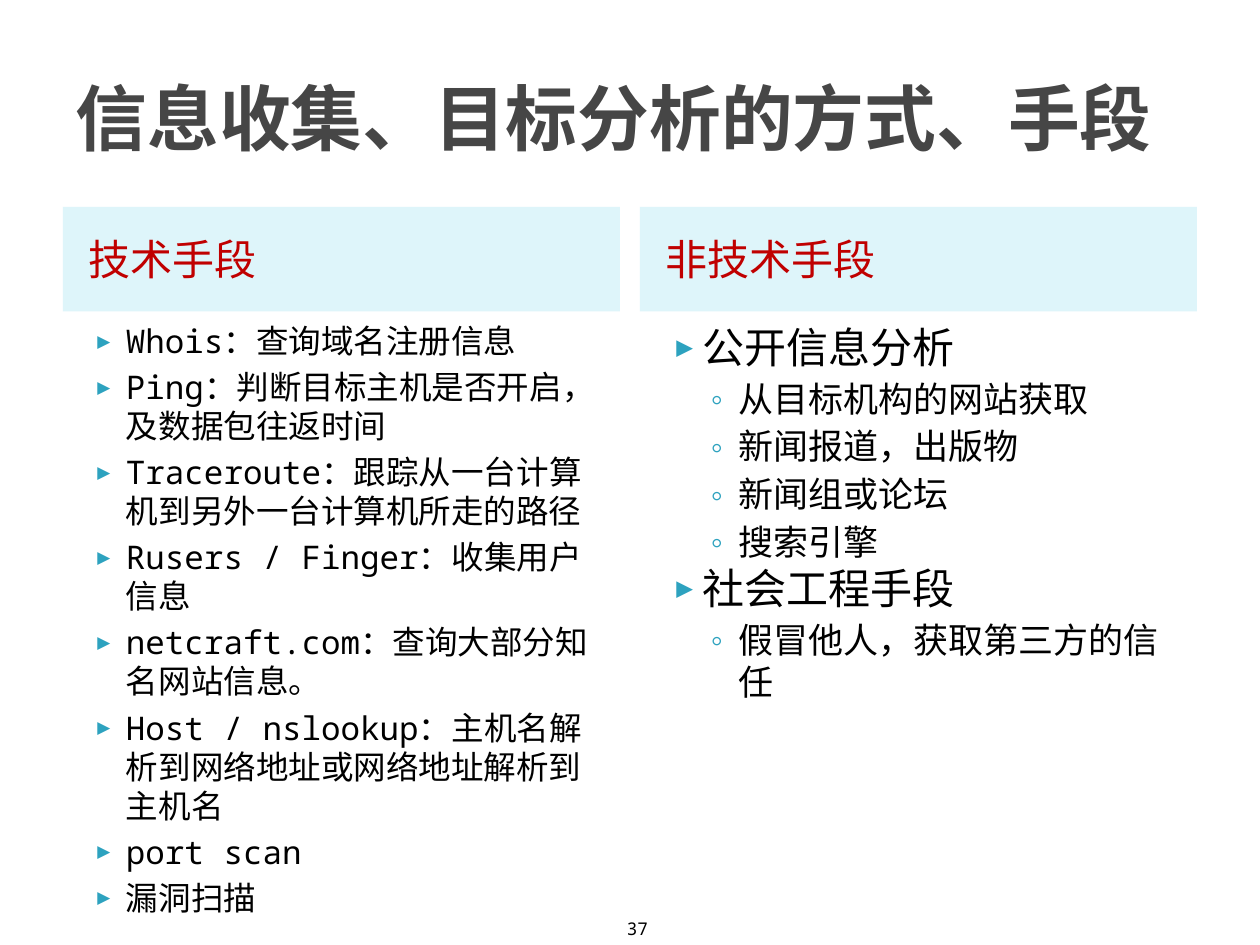
from lxml.etree import SubElement
from pptx import Presentation
from pptx.dml.color import RGBColor
from pptx.enum.lang import MSO_LANGUAGE_ID as Language
from pptx.enum.shapes import MSO_SHAPE as Shape
from pptx.enum.text import MSO_ANCHOR as Anchor, MSO_AUTO_SIZE as AutoSize, PP_ALIGN as Align
from pptx.oxml.ns import qn
from pptx.util import Cm, Pt

TITLE = "信息收集、目标分析的方式、手段"
PAGE_NUMBER = "37"
# Each column: heading, size per level, space before per level, (level, text) items
COLUMNS = [
    ("技术手段", (18.6,), (4,), [
        (0, "Whois：查询域名注册信息"),
        (0, "Ping：判断目标主机是否开启，及数据包往返时间"),
        (0, "Traceroute：跟踪从一台计算机到另外一台计算机所走的路径"),
        (0, "Rusers / Finger：收集用户信息"),
        (0, "netcraft.com：查询大部分知名网站信息。"),
        (0, "Host / nslookup：主机名解析到网络地址或网络地址解析到主机名"),
        (0, "port scan"),
        (0, "漏洞扫描"),
    ]),
    ("非技术手段", (24, 20), (0, 3.2), [
        (0, "公开信息分析"),
        (1, "从目标机构的网站获取"),
        (1, "新闻报道，出版物"),
        (1, "新闻组或论坛"),
        (1, "搜索引擎"),
        (0, "社会工程手段"),
        (1, "假冒他人，获取第三方的信任"),
    ]),
]
# Per level: bullet, size in percent, left margin, hanging indent
BULLETS = [("▶", 68, Cm(1.02), Cm(0.71)), ("◦", 100, Cm(1.73), Cm(0.64))]

FONT = "Noto Sans Mono"
BLACK, GREY, RED, TEAL, PALE = "000000", "464646", "C00000", "2DA2BF", "DEF5FA"
LINE_HEIGHT = 1.2
LEFT, COLUMN_WIDTH, COLUMN_STEP = 1.27, 11.23, 11.63
HEADING_TOP, HEADING_HEIGHT = 4.17, 2.11
LIST_TOP, LIST_HEIGHT = 6.35, 10.95


def color(value):
    return RGBColor.from_string(value)


def add_span(para, text, size, ink, bold=False):
    span = para.add_run()
    span.text = text
    font = span.font
    font.name, font.size, font.bold = FONT, Pt(size), bold
    font.color.rgb = color(ink)
    font.language_id = Language.SIMPLIFIED_CHINESE
    east_asian = SubElement(font._element, qn("a:ea"))
    east_asian.set("typeface", FONT)


def prepare(shape, anchor):
    frame = shape.text_frame
    frame.word_wrap = True
    frame.auto_size = AutoSize.NONE
    frame.vertical_anchor = anchor
    return frame


def add_bullet(para, level):
    mark, percent, margin, hanging = BULLETS[level]
    properties = para._p.get_or_add_pPr()
    properties.set("marL", str(margin))
    properties.set("indent", str(-hanging))
    tint = SubElement(properties, qn("a:buClr"))
    SubElement(tint, qn("a:srgbClr")).set("val", TEAL)
    SubElement(properties, qn("a:buSzPct")).set("val", str(percent * 1000))
    SubElement(properties, qn("a:buFont")).set("typeface", FONT)
    SubElement(properties, qn("a:buChar")).set("char", mark)


def add_heading(slide, left, text):
    box = slide.shapes.add_shape(Shape.RECTANGLE, left, Cm(HEADING_TOP),
                                 Cm(COLUMN_WIDTH), Cm(HEADING_HEIGHT))
    box.shadow.inherit = False
    box.fill.solid()
    box.fill.fore_color.rgb = color(PALE)
    box.line.fill.background()
    frame = prepare(box, Anchor.MIDDLE)
    frame.margin_left = Cm(0.51)
    para = frame.paragraphs[0]
    para.alignment = Align.LEFT
    add_span(para, text, 24, RED)


def add_list(slide, left, sizes, gaps, items):
    box = slide.shapes.add_textbox(left, Cm(LIST_TOP), Cm(COLUMN_WIDTH), Cm(LIST_HEIGHT))
    frame = prepare(box, Anchor.TOP)
    for index, (level, text) in enumerate(items):
        para = frame.add_paragraph() if index else frame.paragraphs[0]
        para.level = level
        para.line_spacing = Pt(sizes[level] * LINE_HEIGHT)
        para.space_before = Pt(gaps[level] if index else 0)
        add_bullet(para, level)
        add_span(para, text, sizes[level], BLACK)


def main():
    deck = Presentation()
    deck.slide_width, deck.slide_height = Cm(25.4), Cm(19.05)
    slide = deck.slides.add_slide(deck.slide_layouts[5])

    title = slide.shapes.title
    title.left, title.top, title.width, title.height = Cm(LEFT), Cm(0.76), Cm(22.86), Cm(3.18)
    para = prepare(title, Anchor.MIDDLE).paragraphs[0]
    para.alignment = Align.LEFT
    add_span(para, TITLE, 41, GREY, bold=True)

    for index, (heading, sizes, gaps, items) in enumerate(COLUMNS):
        left = Cm(LEFT + index * COLUMN_STEP)
        add_heading(slide, left, heading)
        add_list(slide, left, sizes, gaps, items)

    number = slide.shapes.add_textbox(Cm(11.89), Cm(17.81), Cm(1.42), Cm(1.24))
    para = prepare(number, Anchor.BOTTOM).paragraphs[0]
    para.alignment = Align.RIGHT
    add_span(para, PAGE_NUMBER, 10, BLACK)

    deck.save("out.pptx")


if __name__ == "__main__":
    main()
